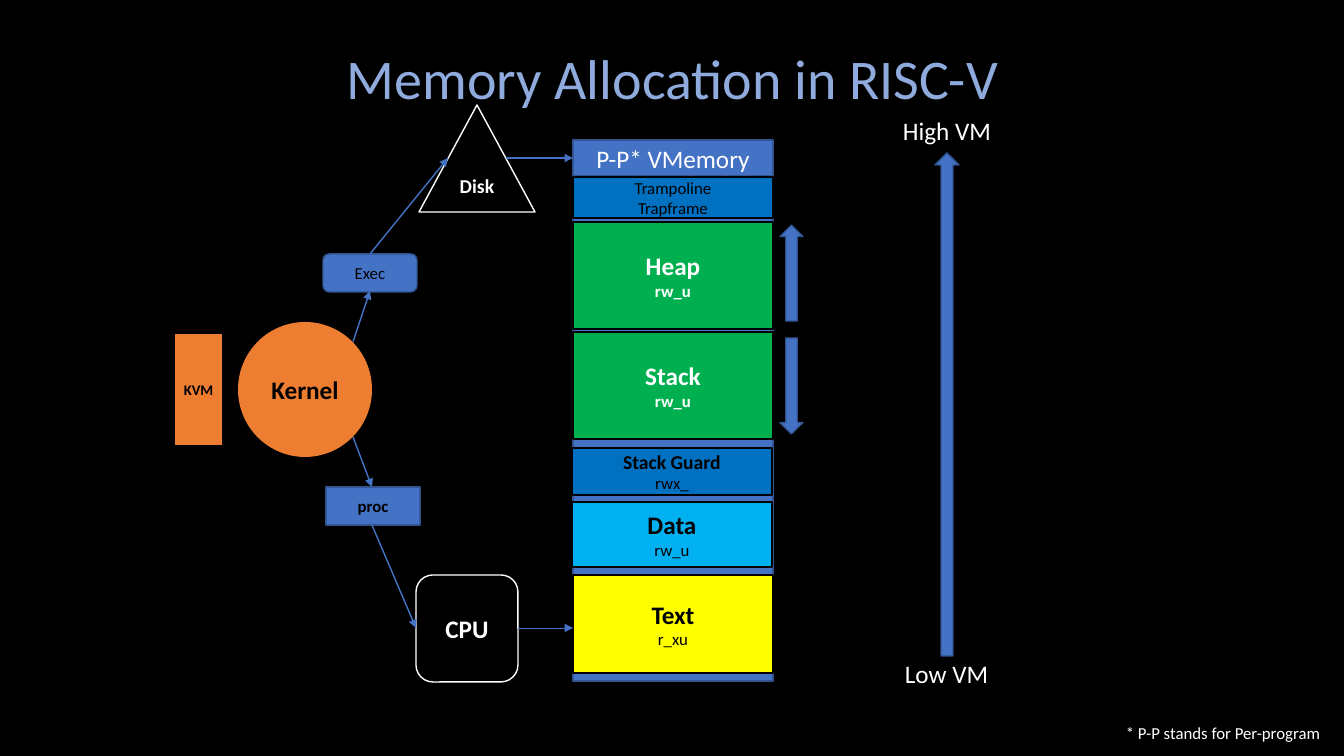
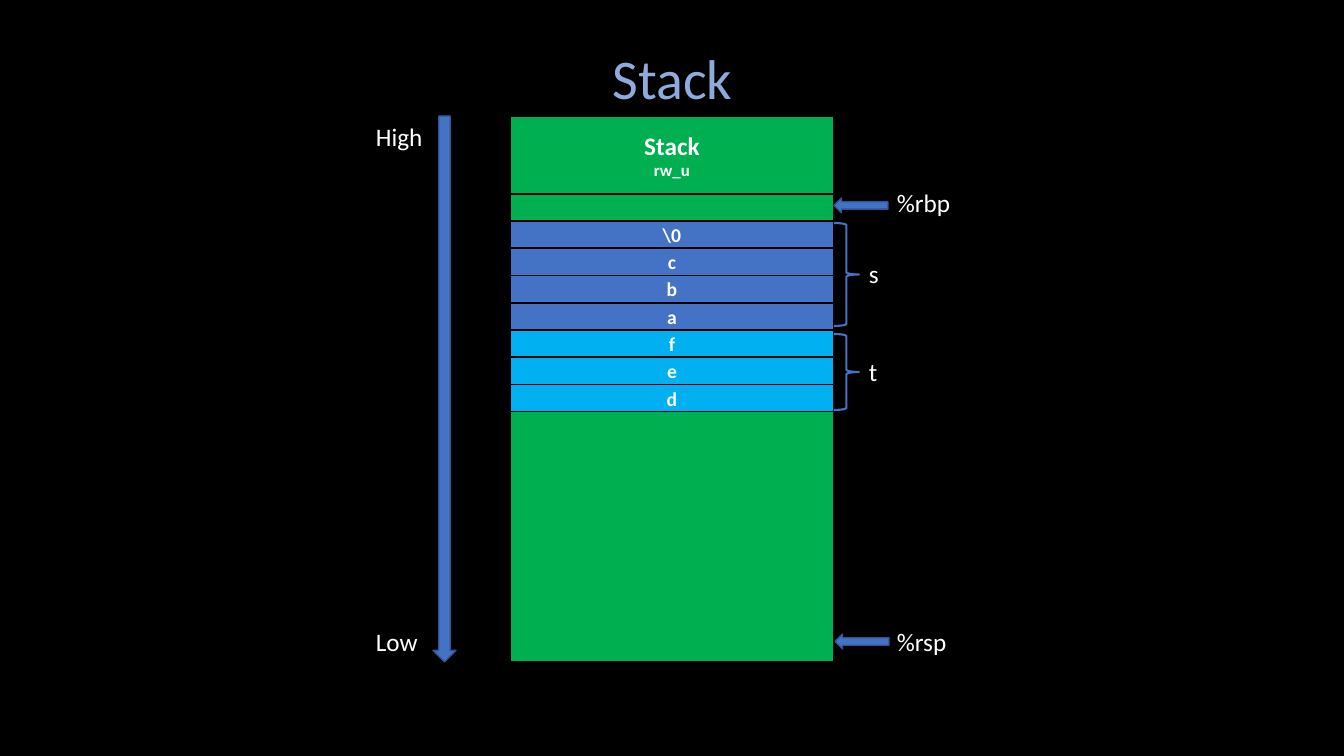
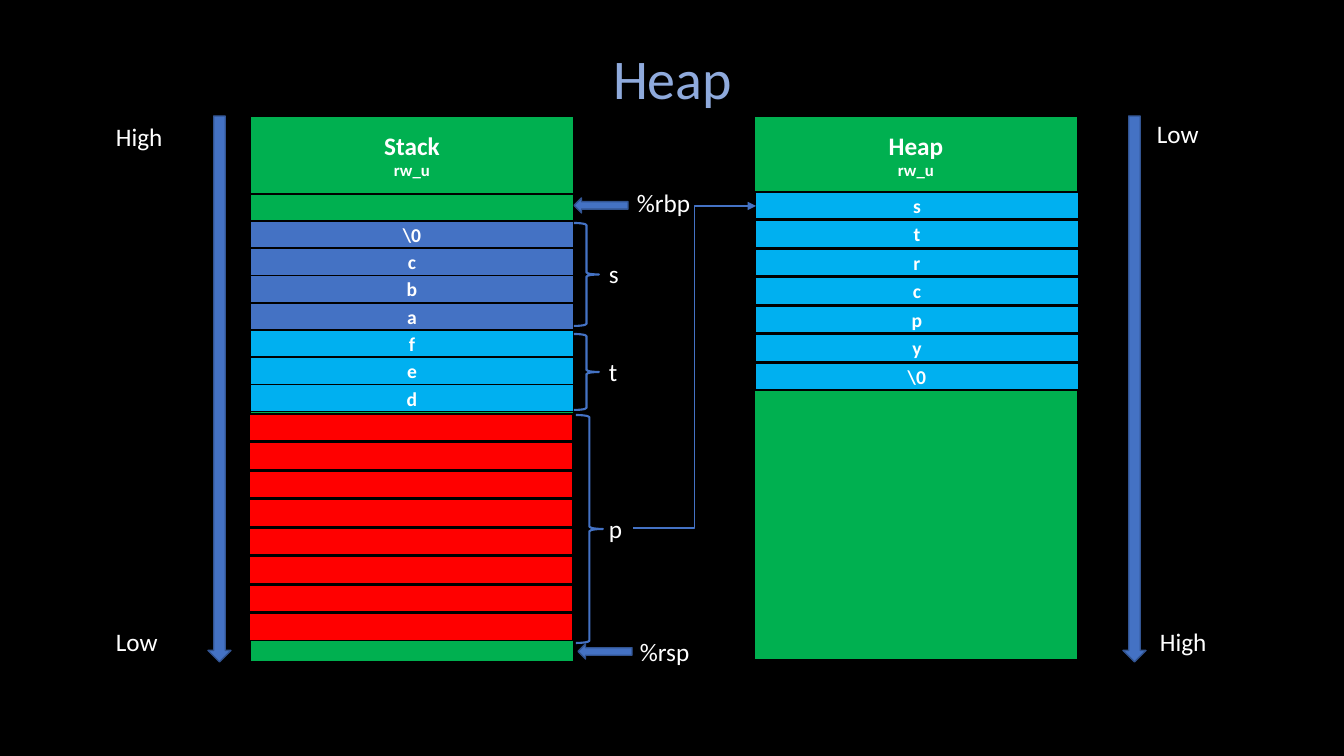
import pptx
import pptx.dml.color
import pptx.enum.shapes
import pptx.enum.text
import pptx.oxml
import pptx.oxml.ns
import pptx.util

RGBColor = pptx.dml.color.RGBColor
SHAPE = pptx.enum.shapes.MSO_SHAPE
CONNECTOR = pptx.enum.shapes.MSO_CONNECTOR
TEXT = pptx.enum.text

# Shared look
PIXEL = 12192000 / 1344
FONT = "Calibri"
BLACK = RGBColor(0x00, 0x00, 0x00)
WHITE = RGBColor(0xFF, 0xFF, 0xFF)
TITLE_BLUE = RGBColor(0x8F, 0xAA, 0xDC)
BLUE = RGBColor(0x44, 0x72, 0xC4)
EDGE_BLUE = RGBColor(0x32, 0x54, 0x91)
DEEP_BLUE = RGBColor(0x00, 0x70, 0xC0)
SKY = RGBColor(0x00, 0xB0, 0xF0)
GREEN = RGBColor(0x00, 0xB0, 0x50)
ORANGE = RGBColor(0xED, 0x7D, 0x31)
YELLOW = RGBColor(0xFF, 0xFF, 0x00)
RED = RGBColor(0xFF, 0x00, 0x00)
ACCESS = ("rw_u", 12, True)
COLUMN_WIDTH = 324
ROW_HEIGHT = 27
STACK_PITCH = 27.3
WIDE_PITCH = 28.5


def add_block(slide, kind, box, fill, edge, lines=(), color=WHITE, weight=1):
    """Draw a shape; each line of text is (text, size, bold)."""
    shape = slide.shapes.add_shape(kind, *[round(length * PIXEL) for length in box])
    shape.shadow.inherit = False
    for part, part_color in ((shape.fill, fill), (shape.line.fill, edge)):
        if part_color is None:
            part.background()
        else:
            part.solid()
            part.fore_color.rgb = part_color
    if edge is not None:
        shape.line.width = pptx.util.Pt(weight)
    if not lines:
        return
    frame = shape.text_frame
    frame.margin_left = frame.margin_right = frame.margin_top = frame.margin_bottom = 0
    frame.vertical_anchor = TEXT.MSO_ANCHOR.MIDDLE
    frame.text = "\n".join(text for text, size, bold in lines)
    for paragraph, (text, size, bold) in zip(frame.paragraphs, lines):
        paragraph.alignment = TEXT.PP_ALIGN.CENTER
        font = paragraph.runs[0].font
        font.name, font.size, font.bold = FONT, pptx.util.Pt(size), bold
        font.color.rgb = color


def add_arrow(slide, kind, points, weight=1):
    """Draw a connector with an arrowhead at its end."""
    connector = slide.shapes.add_connector(kind, *[round(length * PIXEL) for length in points])
    connector.line.color.rgb = BLUE
    connector.line.width = pptx.util.Pt(weight)
    head = pptx.oxml.parse_xml('<a:tailEnd %s type="triangle"/>' % pptx.oxml.ns.nsdecls("a"))
    connector.line._get_or_add_ln().append(head)
    effects = pptx.oxml.parse_xml("<a:effectLst %s/>" % pptx.oxml.ns.nsdecls("a"))
    connector._element.spPr.append(effects)


presentation = pptx.Presentation()
presentation.slide_width = round(1344 * PIXEL)
presentation.slide_height = round(756 * PIXEL)
background = presentation.slide_master.background.fill
background.solid()
background.fore_color.rgb = BLACK

# Slides and titles
slides = []
for title_text in ("Memory Allocation in RISC-V", "Stack", "Heap"):
    slide = presentation.slides.add_slide(presentation.slide_layouts[5])
    title = slide.shapes.title
    title.left, title.top, title.width, title.height = [
        round(length * PIXEL) for length in (207, 38, 931, 78)]
    title.text_frame.text = title_text
    title.text_frame.vertical_anchor = TEXT.MSO_ANCHOR.TOP
    paragraph = title.text_frame.paragraphs[0]
    paragraph.alignment = TEXT.PP_ALIGN.CENTER
    font = paragraph.runs[0].font
    font.name, font.size = FONT, pptx.util.Pt(40)
    font.color.rgb = TITLE_BLUE
    slides.append(slide)
memory_slide, stack_slide, heap_slide = slides

# Memory: machine parts
for kind, box, fill, edge, line, color in (
    (SHAPE.OVAL, (238, 322, 134, 135), ORANGE, None, ("Kernel", 18, True), BLACK),
    (SHAPE.RECTANGLE, (174, 333, 49, 113), ORANGE, BLACK, ("KVM", 10.5, True), BLACK),
    (SHAPE.ROUNDED_RECTANGLE, (416, 575, 102, 107), None, WHITE, ("CPU", 18, True), WHITE),
    (SHAPE.ISOSCELES_TRIANGLE, (419, 105, 116, 107), None, WHITE, ("Disk", 14, True), WHITE),
    (SHAPE.RECTANGLE, (326, 487, 94, 38), BLUE, EDGE_BLUE, ("proc", 12, True), BLACK),
    (SHAPE.ROUNDED_RECTANGLE, (323, 254, 94, 38), BLUE, EDGE_BLUE, ("Exec", 12, False), BLACK),
):
    add_block(memory_slide, kind, box, fill, edge, [line], color)

# Memory: segments over the full column
add_block(memory_slide, SHAPE.RECTANGLE, (573, 177, 200, 504), BLUE, EDGE_BLUE)
for left, top, height, fill, edge, lines, color in (
    (573, 140, 36, BLUE, EDGE_BLUE, [("P-P* VMemory", 18, False)], WHITE),
    (573, 177, 41, DEEP_BLUE, BLACK,
     [("Trampoline", 12, False), ("Trapframe", 12, False)], BLACK),
    (573, 222, 107, GREEN, BLACK, [("Heap", 18, True), ACCESS], WHITE),
    (573, 332, 107, GREEN, BLACK, [("Stack", 18, True), ACCESS], WHITE),
    (572, 448, 47, DEEP_BLUE, BLACK, [("Stack Guard", 14, True), ("rwx_", 12, False)], BLACK),
    (572, 502, 65, SKY, BLACK, [("Data", 18, True), ("rw_u", 12, False)], BLACK),
    (573, 575, 98, YELLOW, BLACK, [("Text", 18, True), ("r_xu", 12, False)], BLACK),
):
    add_block(memory_slide, SHAPE.RECTANGLE, (left, top, 200, height), fill, edge, lines, color)

# Memory: growth and address arrows
for kind, box in (
    (SHAPE.UP_ARROW, (780, 225, 23, 96)),
    (SHAPE.DOWN_ARROW, (780, 338, 23, 96)),
    (SHAPE.UP_ARROW, (935, 153, 24, 503)),
):
    add_block(memory_slide, kind, box, BLUE, EDGE_BLUE)

# Memory: flow between parts
for points, weight in (
    ((353, 437, 372, 487), 1),
    ((372, 525, 416, 628), 1),
    ((353, 342, 370, 291), 1),
    ((370, 254, 448, 158), 1),
    ((506, 158, 573, 158), 1),
    ((518, 628, 573, 628), 0.5),
):
    add_arrow(memory_slide, CONNECTOR.STRAIGHT, points, weight)

# Text labels: slide, text, left, top, width, size
labels = [
    (memory_slide, "High VM", 893, 110, 110, 18),
    (memory_slide, "Low VM", 895, 653, 105, 18),
    (memory_slide, "* P-P stands for Per-program", 1116, 718, 217, 12),
    (heap_slide, "Low", 1147, 113, 62, 18),
    (heap_slide, "High", 1150, 621, 68, 18),
    (heap_slide, "p", 599, 508, 34, 18),
]

# Stack column, on both the stack and the heap slide
for slide, left, scale_left, rsp_shift, rsp_top in (
    (stack_slide, 510, 433, 0, 634),
    (heap_slide, 250, 208, 3, 644),
):
    right = left + COLUMN_WIDTH
    add_block(slide, SHAPE.RECTANGLE, (left, 116, COLUMN_WIDTH, 78), GREEN, BLACK,
              [("Stack", 18, True), ACCESS])
    add_block(slide, SHAPE.RECTANGLE, (left, 194, COLUMN_WIDTH, 468), GREEN, BLACK)
    for row, (text, fill) in enumerate(zip(("\\0", "c", "b", "a", "f", "e", "d"),
                                           [BLUE] * 4 + [SKY] * 3)):
        add_block(slide, SHAPE.RECTANGLE,
                  (left, 221 + row * STACK_PITCH, COLUMN_WIDTH, ROW_HEIGHT),
                  fill, BLACK, [(text, 14, True)])
    for top, height in ((223, 103), (334, 76)):
        add_block(slide, SHAPE.RIGHT_BRACE, (right, top, 25, height), None, BLUE, weight=1.5)
    add_block(slide, SHAPE.DOWN_ARROW, (scale_left, 116, 23, 546), BLUE, EDGE_BLUE)
    for box in ((right, 198, 54, 15), (right + 1 + rsp_shift, rsp_top, 54, 15)):
        add_block(slide, SHAPE.LEFT_ARROW, box, BLUE, EDGE_BLUE)
    labels += [
        (slide, "High", left - 144, 116, 68, 18),
        (slide, "Low", left - 144, 621, 62, 18),
        (slide, "s", right + 25, 253, 30, 18),
        (slide, "t", right + 25, 351, 29, 18),
        (slide, "%rbp", right + 53, 182, 75, 18),
        (slide, "%rsp", right + 53 + rsp_shift, rsp_top - 13, 71, 18),
    ]

# Heap slide: pointer bytes in the stack
for row in range(8):
    add_block(heap_slide, SHAPE.RECTANGLE,
              (249, 414 + row * WIDE_PITCH, COLUMN_WIDTH, ROW_HEIGHT), RED, BLACK)
add_block(heap_slide, SHAPE.RIGHT_BRACE, (576, 415, 27, 228), None, BLUE, weight=1.5)

# Heap slide: heap column
add_block(heap_slide, SHAPE.RECTANGLE, (754, 116, COLUMN_WIDTH, 78), GREEN, BLACK,
          [("Heap", 18, True), ACCESS])
add_block(heap_slide, SHAPE.RECTANGLE, (754, 192, COLUMN_WIDTH, 468), GREEN, BLACK)
for row, text in enumerate(("s", "t", "r", "c", "p", "y", "\\0")):
    add_block(heap_slide, SHAPE.RECTANGLE,
              (755, 192 + row * WIDE_PITCH, COLUMN_WIDTH, ROW_HEIGHT),
              SKY, BLACK, [(text, 14, True)])
add_block(heap_slide, SHAPE.DOWN_ARROW, (1123, 116, 23, 546), BLUE, EDGE_BLUE)
add_arrow(heap_slide, CONNECTOR.ELBOW, (633, 528, 756, 206))

# Labels of all slides
for slide, text, left, top, width, size in labels:
    height = 40 if size == 18 else 30
    label = slide.shapes.add_textbox(
        *[round(length * PIXEL) for length in (left, top, width, height)])
    label.text_frame.word_wrap = False
    label.text_frame.auto_size = TEXT.MSO_AUTO_SIZE.SHAPE_TO_FIT_TEXT
    label.text_frame.text = text
    font = label.text_frame.paragraphs[0].runs[0].font
    font.name, font.size = FONT, pptx.util.Pt(size)
    font.color.rgb = WHITE

presentation.save("out.pptx")
